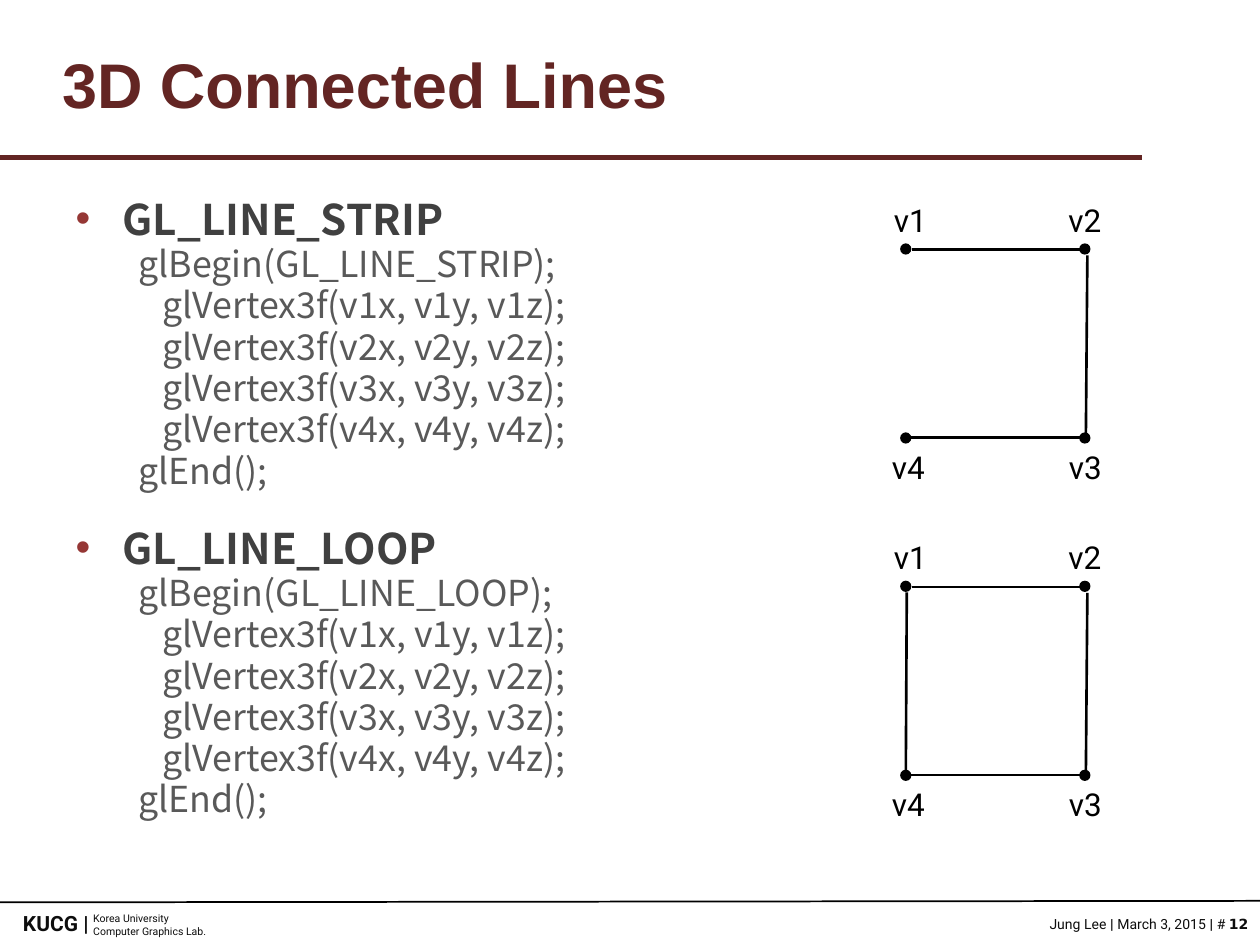
from lxml.etree import SubElement
from pptx import Presentation
from pptx.dml.color import RGBColor
from pptx.enum.shapes import MSO_CONNECTOR, MSO_SHAPE
from pptx.enum.text import MSO_ANCHOR, MSO_AUTO_SIZE, PP_ALIGN
from pptx.oxml.ns import qn
from pptx.util import Cm, Pt

MAROON = RGBColor(0x63, 0x25, 0x23)
BULLET_RED = RGBColor(0x95, 0x37, 0x35)
HEADING_GRAY = RGBColor(0x40, 0x40, 0x40)
CODE_GRAY = RGBColor(0x59, 0x59, 0x59)
FOOTER_BLACK = RGBColor(0x0D, 0x0D, 0x0D)
BLACK = RGBColor(0, 0, 0)

presentation = Presentation()
presentation.slide_width = Cm(25.4)
presentation.slide_height = Cm(19.05)
slide = presentation.slides.add_slide(presentation.slide_layouts[1])
shapes = slide.shapes


def add_run(paragraph, text, size, color, font="Roboto", bold=False):
    run = paragraph.add_run()
    run.text = text
    run.font.name = font
    run.font.size = Pt(size)
    run.font.bold = bold
    run.font.color.rgb = color


def add_line(start_x, start_y, end_x, end_y, color, width):
    line = shapes.add_connector(
        MSO_CONNECTOR.STRAIGHT, Cm(start_x), Cm(start_y), Cm(end_x), Cm(end_y))
    line.line.color.rgb = color
    line.line.width = Pt(width)
    SubElement(line._element.spPr, qn("a:effectLst"))


add_line(0, 3.18, 23.02, 3.18, MAROON, 3)
add_line(0, 18.19, 25.4, 18.16, BLACK, 1)

footers = [
    (1.63, 18.26, 3.56, 0.76, PP_ALIGN.LEFT, True, 6,
     [[("Korea University", False)], [("Computer Graphics Lab.", False)]]),
    (19.78, 18.34, 5.64, 0.61, PP_ALIGN.RIGHT, False, 8,
     [[("Jung Lee ", False), ("| ", True), ("March 3, 2015 ", False),
       ("|", True), (" # ", False), ("12", True)]]),
    (-0.09, 18.24, 2.13, 0.76, PP_ALIGN.RIGHT, False, 12, [[("KUCG |", True)]]),
]
for left, top, width, height, alignment, wrap, size, lines in footers:
    frame = shapes.add_textbox(Cm(left), Cm(top), Cm(width), Cm(height)).text_frame
    frame.word_wrap = wrap
    for index, runs in enumerate(lines):
        paragraph = frame.add_paragraph() if index else frame.paragraphs[0]
        paragraph.alignment = alignment
        for text, bold in runs:
            font = "DejaVu Sans" if text == "12" else "Roboto"
            add_run(paragraph, text, size, FOOTER_BLACK, font, bold)

title = shapes.title
title.left, title.top, title.width, title.height = Cm(0.75), Cm(0.58), Cm(22.86), Cm(2.21)
title.text_frame.margin_left = Cm(0.5)
title.text_frame.vertical_anchor = MSO_ANCHOR.MIDDLE
title.text_frame.paragraphs[0].alignment = PP_ALIGN.LEFT
add_run(title.text_frame.paragraphs[0], "3D Connected Lines", 36, MAROON, "Arial", True)

body = slide.placeholders[1]
body.left, body.top, body.width, body.height = Cm(1.27), Cm(3.96), Cm(22.86), Cm(13.49)
body.text_frame.auto_size = MSO_AUTO_SIZE.NONE
modes = ["GL_LINE_STRIP", "GL_LINE_LOOP"]
heading_gaps = dict(zip(modes, [0, 23.3]))
vertices = [f"glVertex3f(v{n}x, v{n}y, v{n}z);" for n in range(1, 5)]
for mode in modes:
    for text in [mode, f"glBegin({mode});", *vertices, "glEnd();"]:
        is_first = text == modes[0]
        paragraph = body.text_frame.paragraphs[0] if is_first else body.text_frame.add_paragraph()
        paragraph.line_spacing = 0.8
        paragraph.space_before = Pt(heading_gaps.get(text, 4))
        properties = paragraph._p.get_or_add_pPr()
        if text == mode:
            properties.set("marL", str(Cm(0.95)))
            properties.set("indent", str(Cm(-0.95)))
            bullet_color = SubElement(properties, qn("a:buClr"))
            SubElement(bullet_color, qn("a:srgbClr"), val=str(BULLET_RED))
            SubElement(properties, qn("a:buFont"), typeface="Arial")
            SubElement(properties, qn("a:buChar"), char="•")
            add_run(paragraph, text, 24.1, HEADING_GRAY, "Noto Sans CJK KR", True)
        else:
            paragraph.level = 1
            properties.set("marL", str(Cm(1.75 if text in vertices else 1.27)))
            properties.set("indent", "0")
            SubElement(properties, qn("a:buNone"))
            add_run(paragraph, text, 20.4, CODE_GRAY, "Noto Sans CJK KR")

DOT = 0.2
corners = [
    ("v1", 18.16, 0, 17.77, -1),
    ("v2", 21.77, 0, 21.29, -1),
    ("v3", 21.77, 3.81, 21.3, 3.98),
    ("v4", 18.16, 3.81, 17.73, 3.98),
]
strip_edges = [
    (18.39, 0.11, 21.79, 0.11),
    (21.92, 0.23, 21.89, 3.84),
    (21.89, 3.9, 18.31, 3.9),
]
loop_edges = strip_edges + [(18.28, 0.22, 18.26, 3.84)]
for top, edges in [(4.92, strip_edges), (11.72, loop_edges)]:
    for name, dot_left, dot_top, label_left, label_top in corners:
        dot = shapes.add_shape(
            MSO_SHAPE.OVAL, Cm(dot_left), Cm(top + dot_top), Cm(DOT), Cm(DOT))
        dot.shadow.inherit = False
        dot.fill.solid()
        dot.fill.fore_color.rgb = BLACK
        dot.line.color.rgb = BLACK
        dot.line.width = Pt(0.75)
        label = shapes.add_textbox(Cm(label_left), Cm(top + label_top), Cm(1.19), Cm(1.02))
        label.text_frame.word_wrap = True
        add_run(label.text_frame.paragraphs[0], name, 18, BLACK)
    for start_x, start_y, end_x, end_y in edges:
        add_line(start_x, top + start_y, end_x, top + end_y, BLACK, 1.5)

presentation.save("out.pptx")
